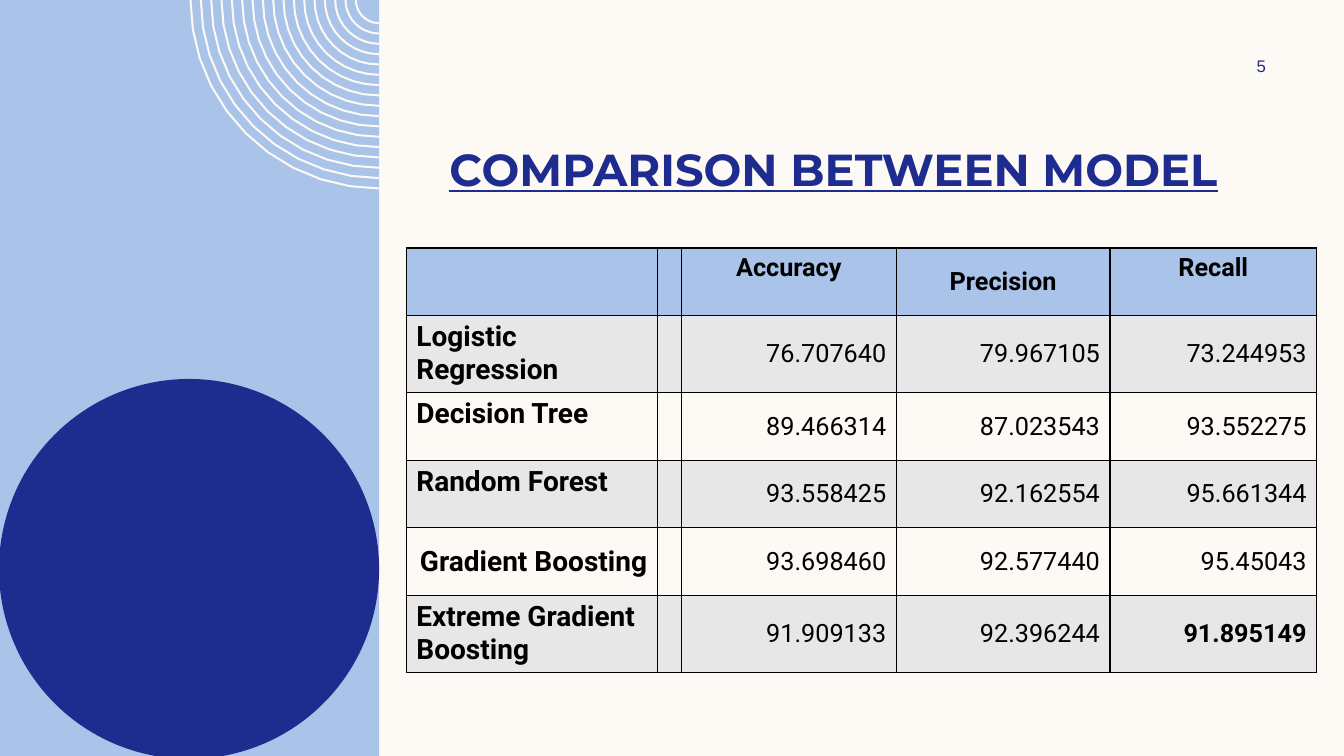
from dataclasses import dataclass
from math import cos, pi, sin

from lxml.etree import SubElement
from pptx import Presentation
from pptx.dml.color import RGBColor
from pptx.enum.shapes import MSO_SHAPE
from pptx.enum.text import MSO_ANCHOR, PP_ALIGN
from pptx.oxml.ns import qn
from pptx.shapes.autoshape import Shape
from pptx.slide import Slide
from pptx.table import _Cell
from pptx.text.text import TextFrame
from pptx.util import Inches, Pt


@dataclass(frozen=True)
class Theme:
    cream: str = "FDFAF6"
    light_blue: str = "AAC3E8"
    navy: str = "1F2C8F"
    grey: str = "E7E7E7"
    black: str = "000000"
    title_size: int = 32
    model_size: int = 20
    value_size: int = 18
    number_size: int = 12
    title_font: str = "Montserrat"
    table_font: str = "Roboto"
    number_font: str = "Arial"


@dataclass(frozen=True)
class Box:
    left: float
    top: float
    width: float
    height: float

    def lengths(self) -> list[int]:
        return [Inches(v) for v in (self.left, self.top, self.width, self.height)]


@dataclass(frozen=True)
class TextStyle:
    font: dict
    color: str
    align: PP_ALIGN = PP_ALIGN.LEFT
    anchor: MSO_ANCHOR = MSO_ANCHOR.TOP


@dataclass(frozen=True)
class ModelScore:
    name: str
    scores: tuple[str, str, str]
    name_align: PP_ALIGN = PP_ALIGN.LEFT
    name_anchor: MSO_ANCHOR = MSO_ANCHOR.TOP
    bold_recall: bool = False


THEME = Theme()
PANEL_RIGHT = 3.76
COLUMN_WIDTHS = (2.49, 0.23, 2.13, 2.12, 2.05)
ROW_HEIGHT = 0.67
HEADERS = (
    ("Accuracy", MSO_ANCHOR.TOP),
    ("Precision", MSO_ANCHOR.MIDDLE),
    ("Recall", MSO_ANCHOR.TOP),
)
MODELS = (
    ModelScore("Logistic Regression", ("76.707640", "79.967105", "73.244953")),
    ModelScore("Decision Tree", ("89.466314", "87.023543", "93.552275")),
    ModelScore("Random Forest", ("93.558425", "92.162554", "95.661344")),
    ModelScore("Gradient Boosting", ("93.698460", "92.577440", "95.45043"),
               PP_ALIGN.RIGHT, MSO_ANCHOR.MIDDLE),
    ModelScore("Extreme Gradient Boosting", ("91.909133", "92.396244", "91.895149"),
               bold_recall=True),
)


def paint(shape: Shape, color: str) -> None:
    shape.shadow.inherit = False
    shape.fill.solid()
    shape.fill.fore_color.rgb = RGBColor.from_string(color)
    shape.line.fill.background()


def write(frame: TextFrame, text: str, style: TextStyle) -> None:
    paragraph = frame.paragraphs[0]
    paragraph.alignment = style.align
    run = paragraph.add_run()
    run.text = text
    for name, value in style.font.items():
        setattr(run.font, name, value)
    run.font.color.rgb = RGBColor.from_string(style.color)


def add_text(slide: Slide, box: Box, text: str, style: TextStyle) -> None:
    frame = slide.shapes.add_textbox(*box.lengths()).text_frame
    frame.word_wrap = True
    frame.vertical_anchor = style.anchor
    write(frame, text, style)


def arc_points(radius: float, steps: int = 10) -> list[tuple[int, int]]:
    """Quarter circle from the top edge down to the panel's right edge."""
    angles = [pi / 2 * step / steps for step in range(steps + 1)]
    return [(Inches(PANEL_RIGHT - radius * cos(a)), Inches(radius * sin(a))) for a in angles]


def add_rings(slide: Slide, count: int = 17, largest: float = 1.87,
              smallest: float = 0.23, thickness: float = 0.02) -> None:
    gap = (largest - smallest) / (count - 1)
    builder = slide.shapes.build_freeform(*arc_points(largest)[0])
    for ring in range(count):
        start, *rest = arc_points(largest - ring * gap)
        if ring:
            builder.move_to(*start)
        builder.add_line_segments(rest, close=False)
    rings = builder.convert_to_shape()
    rings.shadow.inherit = False
    rings.fill.background()
    rings.line.color.rgb = RGBColor.from_string(THEME.cream)
    rings.line.width = Inches(thickness)


def add_side_panel(slide: Slide) -> None:
    panel = slide.shapes.add_shape(MSO_SHAPE.RECTANGLE, *Box(0, 0, PANEL_RIGHT, 7.5).lengths())
    paint(panel, THEME.light_blue)
    add_rings(slide)
    circle = slide.shapes.add_shape(MSO_SHAPE.OVAL, *Box(-0.01, 3.76, 3.77, 3.77).lengths())
    paint(circle, THEME.navy)


def format_cell(cell: _Cell, fill: str) -> None:
    properties = cell._tc.get_or_add_tcPr()
    for side in ("a:lnL", "a:lnR", "a:lnT", "a:lnB"):
        line = SubElement(properties, qn(side), w=str(Pt(1)))
        SubElement(SubElement(line, qn("a:solidFill")), qn("a:srgbClr"), val=THEME.black)
    cell.fill.solid()
    cell.fill.fore_color.rgb = RGBColor.from_string(fill)


def fill_cell(cell: _Cell, text: str, size: int, bold: bool,
              align: PP_ALIGN, anchor: MSO_ANCHOR) -> None:
    cell.vertical_anchor = anchor
    font = {"name": THEME.table_font, "size": Pt(size), "bold": bold}
    write(cell.text_frame, text, TextStyle(font, THEME.black, align))


def add_score_table(slide: Slide) -> None:
    row_count = len(MODELS) + 1
    box = Box(4.03, 2.46, sum(COLUMN_WIDTHS), ROW_HEIGHT * row_count)
    table = slide.shapes.add_table(row_count, len(COLUMN_WIDTHS), *box.lengths()).table
    table.first_row = table.horz_banding = False
    for column, width in zip(table.columns, COLUMN_WIDTHS):
        column.width = Inches(width)

    # Row fills and borders
    for index, row in enumerate(table.rows):
        row.height = Inches(ROW_HEIGHT)
        band = THEME.grey if index % 2 else THEME.cream
        for cell in row.cells:
            format_cell(cell, band if index else THEME.light_blue)

    # Header and model scores
    for column, (header, anchor) in enumerate(HEADERS, start=2):
        fill_cell(table.cell(0, column), header, THEME.value_size, True,
                  PP_ALIGN.CENTER, anchor)
    for row, model in enumerate(MODELS, start=1):
        fill_cell(table.cell(row, 0), model.name, THEME.model_size, True,
                  model.name_align, model.name_anchor)
        for column, score in enumerate(model.scores, start=2):
            bold = model.bold_recall and column == len(COLUMN_WIDTHS) - 1
            fill_cell(table.cell(row, column), score, THEME.value_size, bold,
                      PP_ALIGN.RIGHT, MSO_ANCHOR.MIDDLE)


def main() -> None:
    presentation = Presentation()
    presentation.slide_width = Inches(13.33)
    presentation.slide_height = Inches(7.5)
    slide = presentation.slides.add_slide(presentation.slide_layouts[6])
    slide.background.fill.solid()
    slide.background.fill.fore_color.rgb = RGBColor.from_string(THEME.cream)

    # Decoration
    add_side_panel(slide)

    # Title and slide number
    title_font = {"name": THEME.title_font, "size": Pt(THEME.title_size),
                  "bold": True, "underline": True}
    add_text(slide, Box(4.36, 1.36, 8.93, 0.84), "COMPARISON BETWEEN MODEL",
             TextStyle(title_font, THEME.navy))
    number_font = {"name": THEME.number_font, "size": Pt(THEME.number_size)}
    add_text(slide, Box(11.97, 0.5, 1.08, 0.3), "5",
             TextStyle(number_font, THEME.navy, PP_ALIGN.CENTER, MSO_ANCHOR.MIDDLE))

    # Model comparison
    add_score_table(slide)
    presentation.save("out.pptx")


if __name__ == "__main__":
    main()
